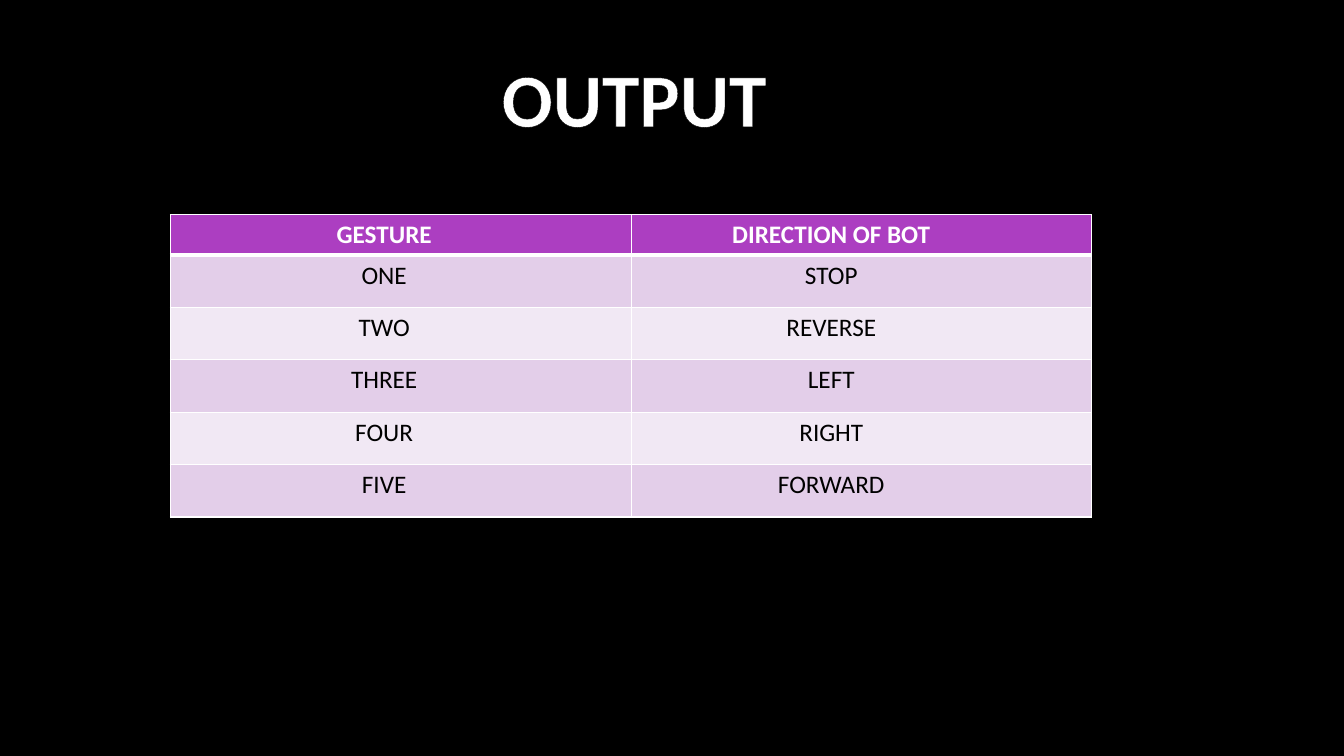
from lxml import etree
from pptx import Presentation
from pptx import util as u
from pptx.dml.color import RGBColor
from pptx.enum import text
from pptx.oxml import ns

COLORS = {
    "black": "000000",
    "white": "FFFFFF",
    "header": "AC3EC1",
    "dark_band": "E3CEE9",
    "light_band": "F1E8F4",
}
ROWS = [
    ("GESTURE", "DIRECTION OF BOT"),
    ("ONE", "STOP"),
    ("TWO", "REVERSE"),
    ("THREE", "LEFT"),
    ("FOUR", "RIGHT"),
    ("FIVE", "FORWARD"),
]
COLUMN_WIDTH = 4.57
HEADER_HEIGHT = 0.4
ROW_HEIGHT = 0.52
RIGHT_MARGINS = (0.43, 0.7)


def rgb(name):
    """Return the named colour."""
    return RGBColor.from_string(COLORS[name])


def make_line(tag, color, points):
    """Return a solid line element for a border or a text outline."""
    line = etree.Element(ns.qn(tag), w=str(u.Pt(points)))
    fill = etree.SubElement(line, ns.qn("a:solidFill"))
    etree.SubElement(fill, ns.qn("a:srgbClr"), val=COLORS[color])
    return line


def write(frame, content, size=18, color="black", bold=False):
    """Write one centred run into a text frame and return it."""
    paragraph = frame.paragraphs[0]
    paragraph.alignment = text.PP_ALIGN.CENTER
    run = paragraph.add_run()
    run.text = content
    run.font.name = "Calibri"
    run.font.size = u.Pt(size)
    run.font.bold = bold
    run.font.color.rgb = rgb(color)
    return run


def add_title(slide, content):
    """Add the outlined slide heading."""
    box = slide.shapes.add_textbox(
        u.Inches(4.86), u.Inches(0.46), u.Inches(2.86), u.Inches(1.01)
    )
    box.text_frame.word_wrap = False
    box.text_frame.auto_size = text.MSO_AUTO_SIZE.SHAPE_TO_FIT_TEXT
    run = write(box.text_frame, content, size=54, color="white", bold=True)
    run.font._element.insert(0, make_line("a:ln", "black", 0.75))


def style_cell(cell, fill, top, bottom):
    """Fill a cell and draw its white borders."""
    cell.fill.solid()
    cell.fill.fore_color.rgb = rgb(fill)
    properties = cell._tc.get_or_add_tcPr()
    borders = {"a:lnL": 1, "a:lnR": 1, "a:lnT": top, "a:lnB": bottom}
    for index, (tag, points) in enumerate(borders.items()):
        properties.insert(index, make_line(tag, "white", points))


def add_gesture_table(slide):
    """Add the table that maps gestures to directions."""
    table = slide.shapes.add_table(
        len(ROWS), 2, u.Inches(1.69), u.Inches(2.13),
        u.Inches(2 * COLUMN_WIDTH),
        u.Inches(HEADER_HEIGHT + ROW_HEIGHT * (len(ROWS) - 1)),
    ).table
    for column in table.columns:
        column.width = u.Inches(COLUMN_WIDTH)
    for row_index, labels in enumerate(ROWS):
        header = row_index == 0
        band = "dark_band" if row_index % 2 else "light_band"
        height = HEADER_HEIGHT if header else ROW_HEIGHT
        table.rows[row_index].height = u.Inches(height)
        for column_index, label in enumerate(labels):
            cell = table.cell(row_index, column_index)
            cell.margin_right = u.Inches(RIGHT_MARGINS[column_index])
            write(cell.text_frame, label, bold=header,
                  color="white" if header else "black")
            style_cell(cell, "header" if header else band,
                       top=3 if row_index == 1 else 1,
                       bottom=3 if header else 1)


def main():
    """Build and save the slide."""
    presentation = Presentation()
    presentation.slide_width = u.Inches(13.33)
    presentation.slide_height = u.Inches(7.5)
    slide = presentation.slides.add_slide(presentation.slide_layouts[6])
    slide.background.fill.solid()
    slide.background.fill.fore_color.rgb = rgb("black")
    add_title(slide, "OUTPUT")
    add_gesture_table(slide)
    presentation.save("out.pptx")


if __name__ == "__main__":
    main()
